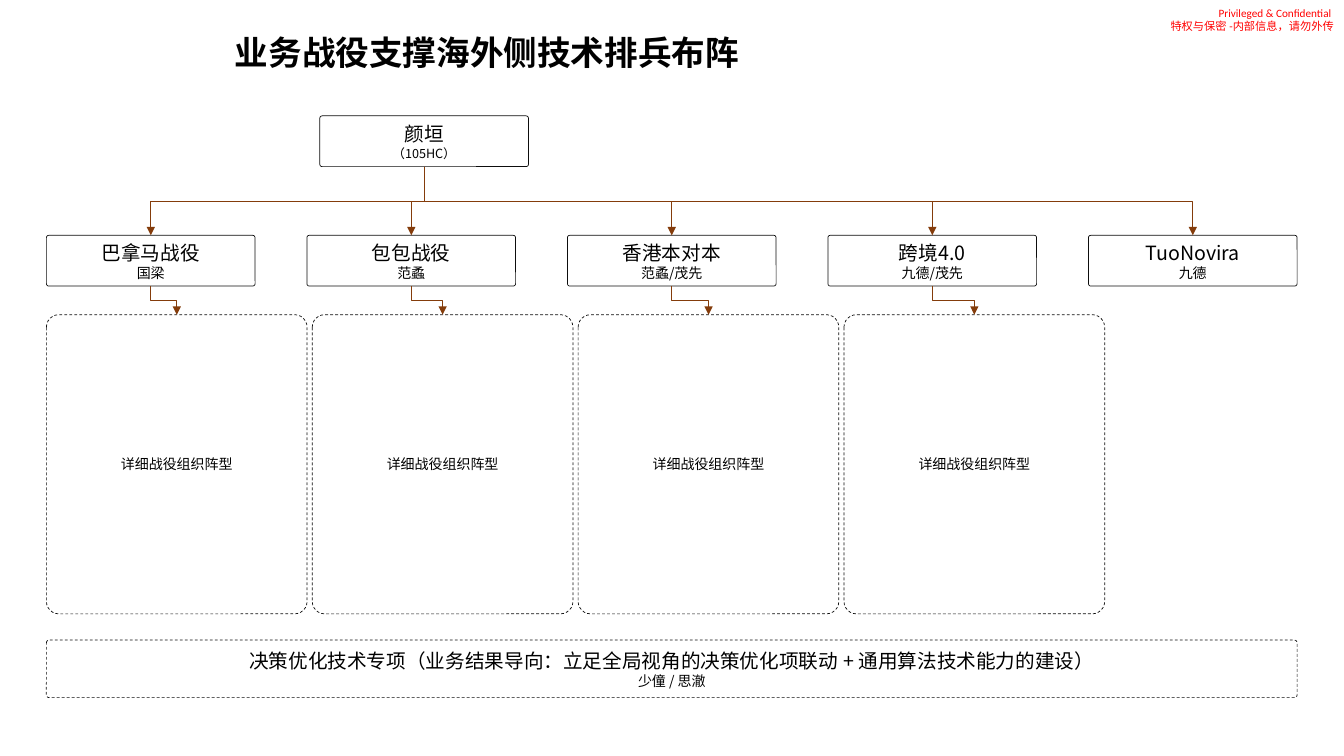
import dataclasses

import pptx
import pptx.dml.color
import pptx.enum.dml
import pptx.enum.shapes
import pptx.enum.text
import pptx.oxml
import pptx.oxml.ns
import pptx.util

Cm = pptx.util.Cm
Pt = pptx.util.Pt
ALIGN = pptx.enum.text.PP_ALIGN
ANCHOR = pptx.enum.text.MSO_ANCHOR
DASH = pptx.enum.dml.MSO_LINE.DASH
TOP, BOTTOM = 0, 2


@dataclasses.dataclass(frozen=True)
class Theme:
    font: str = "Noto Sans CJK SC"
    notice_font: str = "Calibri"
    ink: str = "000000"
    paper: str = "FFFFFF"
    outline: str = "0D0D0D"
    arrow: str = "843C0B"
    notice: str = "FF0000"
    title_size: int = 24
    name_size: int = 14
    owner_size: int = 10
    headcount_size: int = 9
    notice_size: int = 8
    line_width: float = 0.5
    corner: float = 0.048


THEME = Theme()
CAMPAIGNS = [
    ("巴拿马战役", "国梁"),
    ("包包战役", "范蟊"),
    ("香港本对本", "范蟊/茂先"),
    ("跨境4.0", "九德/茂先"),
    ("TuoNovira", "九德"),
]
PANEL_COUNT = 4


def rgb(value):
    return pptx.dml.color.RGBColor.from_string(value)


def write_lines(frame, lines, align, color=THEME.ink, font=THEME.font, bold=False):
    """Fill a text frame with (text, size) lines, one paragraph each."""
    for index, (text, size) in enumerate(lines):
        para = frame.add_paragraph() if index else frame.paragraphs[0]
        para.alignment = align
        span = para.add_run()
        span.text = text
        formats = {"name": font, "size": Pt(size), "bold": bold}
        for name, value in formats.items():
            setattr(span.font, name, value)
        span.font.color.rgb = rgb(color)
        east_asian = pptx.oxml.parse_xml(
            f'<a:ea {pptx.oxml.ns.nsdecls("a")} typeface="{THEME.font}"/>')
        latin = span.font._element.find(pptx.oxml.ns.qn("a:latin"))
        latin.addnext(east_asian)


def add_label(page, box, lines, align, wrap=True, **style):
    frame = page.shapes.add_textbox(*map(Cm, box)).text_frame
    frame.word_wrap = wrap
    write_lines(frame, lines, align, **style)


def add_card(page, box, lines, dash=None):
    """Rounded white box with centred lines."""
    card = page.shapes.add_shape(
        pptx.enum.shapes.MSO_SHAPE.ROUNDED_RECTANGLE, *map(Cm, box))
    card.adjustments[0] = THEME.corner
    card.shadow.inherit = False
    card.fill.solid()
    card.fill.fore_color.rgb = rgb(THEME.paper)
    card.line.color.rgb = rgb(THEME.outline)
    card.line.width = Pt(THEME.line_width)
    if dash is not None:
        card.line.dash_style = dash
    card.text_frame.word_wrap = True
    card.text_frame.vertical_anchor = ANCHOR.MIDDLE
    write_lines(card.text_frame, lines, ALIGN.CENTER)
    return card


def add_arrow(page, parent, child):
    """Elbow arrow going down, across and down from parent to child."""
    start_x, start_y = parent.left + parent.width // 2, parent.top + parent.height
    end_x, end_y = child.left + child.width // 2, child.top
    arrow = page.shapes.add_connector(
        pptx.enum.shapes.MSO_CONNECTOR.ELBOW, start_x, start_y, end_x, end_y)
    arrow.begin_connect(parent, BOTTOM)
    arrow.end_connect(child, TOP)

    # The elbow is turned a quarter so that it leaves vertically
    drop, reach = end_y - start_y, abs(end_x - start_x)
    placement = {
        "left": (start_x + end_x - drop) // 2,
        "top": (start_y + end_y - reach) // 2,
        "width": drop,
        "height": reach,
    }
    for name, value in placement.items():
        setattr(arrow, name, value)
    rightward = end_x > start_x
    properties = arrow._element.spPr
    transform = properties.find(pptx.oxml.ns.qn("a:xfrm"))
    transform.set("rot", str((270 if rightward else 90) * 60000))
    transform.set("flipH", "1" if rightward else "0")
    transform.set("flipV", "0")

    arrow.line.color.rgb = rgb(THEME.arrow)
    arrow.line.width = Pt(THEME.line_width)
    namespace = pptx.oxml.ns.nsdecls("a")
    arrow.line._get_or_add_ln().append(
        pptx.oxml.parse_xml(f'<a:tailEnd {namespace} type="triangle"/>'))
    properties.append(pptx.oxml.parse_xml(f"<a:effectLst {namespace}/>"))


def add_header(page, box):
    left, top, width, height = box
    # Confidentiality notice at the right edge
    notice_width = 6.02
    add_label(page, (left + width - notice_width, top, notice_width, 0.94),
              [("Privileged & Confidential ", THEME.notice_size),
               ("特权与保密 -内部信息，请勿外传", THEME.notice_size)],
              ALIGN.RIGHT, color=THEME.notice, font=THEME.notice_font)
    # Title
    add_label(page, (left + 5.67, top + 0.66, 13.34, height - 0.66),
              [("业务战役支撑海外侧技术排兵布阵", THEME.title_size)],
              ALIGN.LEFT, wrap=False, bold=True)


def add_organisation(page, box):
    left, top, width, height = box
    card_width, card_height = 5.26, 1.28

    # Leader
    leader = add_card(page, (left + 6.89, top, card_width, card_height),
                      [("颜垣", THEME.name_size), ("（105HC）", THEME.headcount_size)])

    # Campaigns, spread over the full width
    pitch = (width - card_width) / (len(CAMPAIGNS) - 1)
    campaigns = []
    for column, (name, owner) in enumerate(CAMPAIGNS):
        place = (left + column * pitch, top + 3.01, card_width, card_height)
        campaigns.append(add_card(
            page, place, [(name, THEME.name_size), (owner, THEME.owner_size)]))
        add_arrow(page, leader, campaigns[-1])

    # Detail panels
    panel_top, panel_width, panel_gap = 5.01, 6.57, 0.13
    for column, campaign in enumerate(campaigns[:PANEL_COUNT]):
        place = (left + column * (panel_width + panel_gap), top + panel_top,
                 panel_width, height - panel_top)
        panel = add_card(page, place, [("详细战役组织阵型", THEME.owner_size)], DASH)
        add_arrow(page, campaign, panel)


def add_foundation(page, box):
    add_card(page, box,
             [("决策优化技术专项（业务结果导向：立足全局视角的决策优化项联动 + 通用算法技术能力的建设）",
               THEME.name_size),
              ("少僮 / 思澈", THEME.owner_size)], DASH)


def main():
    deck = pptx.Presentation()
    deck.slide_width, deck.slide_height = Cm(33.87), Cm(19.05)
    page = deck.slides.add_slide(deck.slide_layouts[6])
    add_header(page, (0, 0.03, 33.87, 1.93))
    add_organisation(page, (1.17, 2.92, 31.52, 12.55))
    add_foundation(page, (1.17, 16.13, 31.52, 1.45))
    deck.save("out.pptx")


if __name__ == "__main__":
    main()
